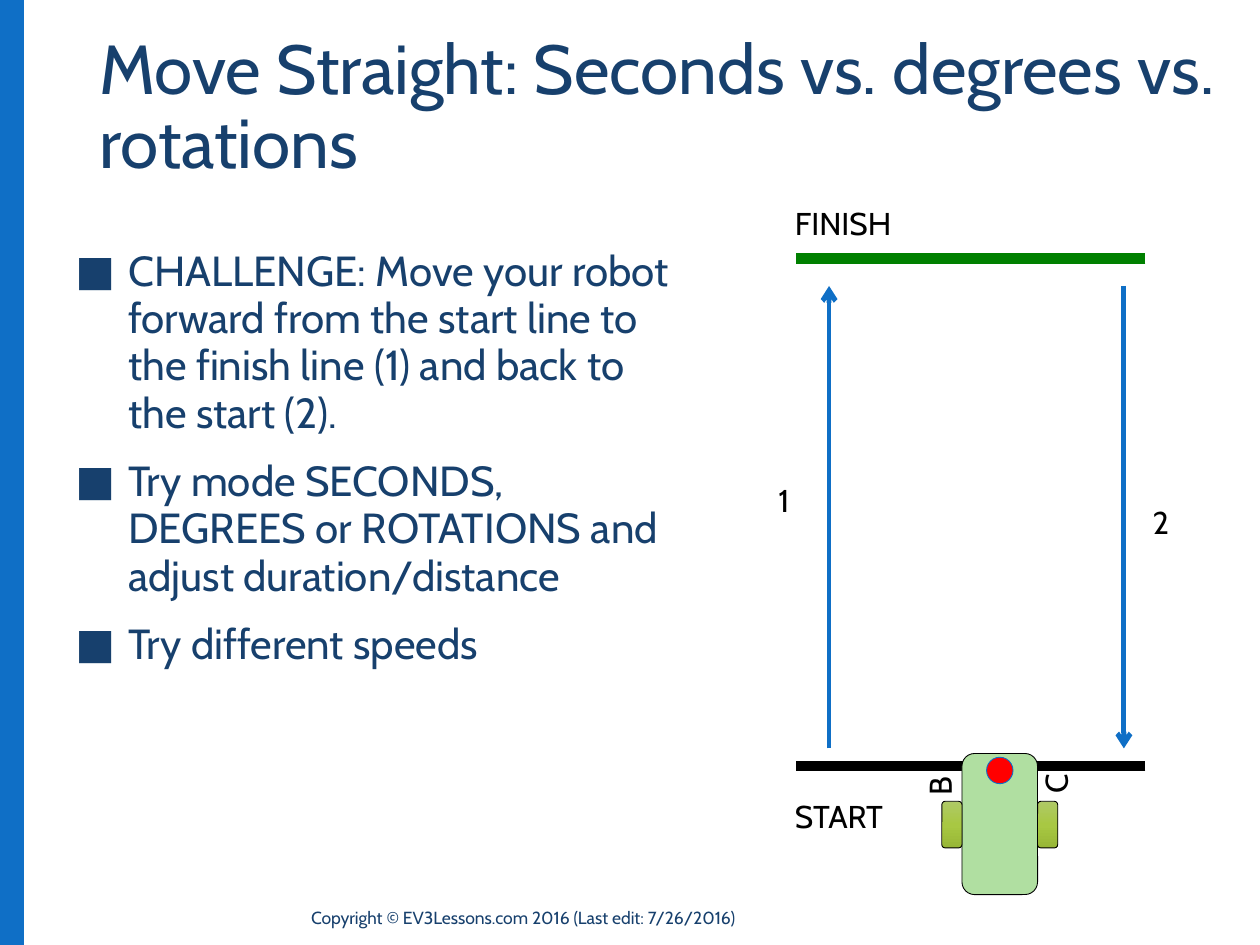
"""Build the slide that sets the move-straight robot challenge."""
from copy import deepcopy

from lxml.etree import SubElement
from pptx import Presentation
from pptx.dml.color import RGBColor
from pptx.enum.shapes import MSO_CONNECTOR, MSO_SHAPE
from pptx.enum.text import MSO_ANCHOR, MSO_AUTO_SIZE
from pptx.oxml.ns import qn
from pptx.util import Inches, Pt

THEME = {
    "font": "Cabin", "text": "17406D", "accent": "0F6FC6", "ink": "000000",
    "finish": "008000", "body": "B0DFA1", "sensor": "FF0000",
    "wheel": ("AFC966", "A8C843", "98B736"),
    "title_pt": 39.6, "bullet_pt": 24, "label_pt": 18, "footer_pt": 10,
    "track_pt": 6, "arrow_pt": 2.75, "outline_pt": 0.5,
}
COLS, ROWS = 100, 75
TITLE = "Move Straight: Seconds vs. degrees vs. rotations"
BULLETS = [
    "CHALLENGE: Move your robot forward from the start line to the finish line (1) "
    "and back to the start (2).",
    "Try mode SECONDS, DEGREES or ROTATIONS and adjust duration/distance",
    "Try different speeds",
]
FOOTER = "Copyright © EV3Lessons.com 2016 (Last edit: 7/26/2016)"

TRACK = {"left": 63.2, "right": 90.9, "finish": 20.5, "start": 60.8}
LANES = {"up": 65.8, "down": 89.2, "top": 22.7, "bottom": 59.4}
LABELS = [
    ("1", (60.8, 37.7, 3.4, 4), True, 0),
    ("2", (90.5, 39.4, 3.4, 4), True, 0),
    ("FINISH", (62.1, 15.7, 10.3, 4), False, 0),
    ("START", (62.1, 62.8, 10, 4), False, 0),
    ("B", (71.8, 60.4, 4.5, 3), True, 270),
    ("C", (81, 60.2, 4.5, 3), True, 270),
]
ROBOT = {"center": 79.35, "top": 59.8, "width": 6, "height": 11.2}
WHEEL = {"top": 63.6, "width": 1.6, "height": 3.7}
SENSOR = {"top": 60.1, "size": 2.1}

prs = Presentation()
prs.slide_width, prs.slide_height = Inches(10), Inches(7.5)
s = prs.slides.add_slide(prs.slide_layouts[6])


def grid(*values):
    """Turn alternating columns and rows into slide lengths."""
    units = (prs.slide_width / COLS, prs.slide_height / ROWS)
    return [round(v * units[i % 2]) for i, v in enumerate(values)]


def add_text(text, box, size, color="text", wrap=True, rotation=0, bullet=None,
             line=None, before=0, after=0, anchor=MSO_ANCHOR.TOP, grow=False):
    """Add a text box with one paragraph per string."""
    sp = s.shapes.add_textbox(*grid(*box))
    sp.rotation = rotation
    tf = sp.text_frame
    tf.word_wrap, tf.vertical_anchor = wrap, anchor
    tf.auto_size = MSO_AUTO_SIZE.SHAPE_TO_FIT_TEXT if grow else MSO_AUTO_SIZE.NONE
    for i, words in enumerate([text] if isinstance(text, str) else text):
        p = tf.paragraphs[0] if i == 0 else tf.add_paragraph()
        if bullet:
            pPr = p._p.get_or_add_pPr()
            indent = Inches(0.42)
            pPr.set("marL", str(indent))
            pPr.set("indent", str(-indent))
            SubElement(pPr, qn("a:buFont")).set("typeface", THEME["font"])
            SubElement(pPr, qn("a:buChar")).set("char", bullet)
        if line:
            p.line_spacing = line
        p.space_before, p.space_after = Pt(before if i else 0), Pt(after)
        r = p.add_run()
        r.text = words
        r.font.name, r.font.size = THEME["font"], Pt(THEME[size])
        r.font.color.rgb = RGBColor.from_string(THEME[color])


def add_block(kind, box, fill, outline=None):
    """Add a preset shape with a solid fill or a vertical gradient."""
    sp = s.shapes.add_shape(kind, *grid(*box))
    sp.shadow.inherit = False
    colors = THEME[fill]
    if isinstance(colors, str):
        sp.fill.solid()
        sp.fill.fore_color.rgb = RGBColor.from_string(colors)
    else:
        sp.fill.gradient()
        sp.fill.gradient_angle = 270
        stops = sp._element.spPr.find(".//" + qn("a:gsLst"))
        stops.append(deepcopy(stops[0]))
        for i, (stop, color) in enumerate(zip(sp.fill.gradient_stops, colors)):
            stop.position = i / (len(colors) - 1)
            stop.color.rgb = RGBColor.from_string(color)
    if outline:
        sp.line.color.rgb = RGBColor.from_string(THEME[outline])
        sp.line.width = Pt(THEME["outline_pt"])
    else:
        sp.line.fill.background()


def add_line(ends, color, width, arrow=False):
    """Add a straight line, with an arrowhead at its end if asked."""
    cx = s.shapes.add_connector(MSO_CONNECTOR.STRAIGHT, *grid(*ends))
    cx.line.color.rgb = RGBColor.from_string(THEME[color])
    cx.line.width = Pt(THEME[width])
    if arrow:
        SubElement(cx.line._get_or_add_ln(), qn("a:tailEnd")).set("type", "arrow")
    SubElement(cx._element.spPr, qn("a:effectLst"))


add_block(MSO_SHAPE.RECTANGLE, (0, 0, 1.9, ROWS), "accent")
add_text(TITLE, (6.9, 2.3, 90.5, 10.8), "title_pt", line=0.89)
add_text(BULLETS, (5, 19.2, 49.8, 47.8), "bullet_pt", bullet="■",
         line=0.94, before=10, after=2)
add_text(FOOTER, (23.7, 70.6, 51.5, 4.4), "footer_pt", anchor=MSO_ANCHOR.MIDDLE)

for name, color in (("finish", "finish"), ("start", "ink")):
    add_line((TRACK["right"], TRACK[name], TRACK["left"], TRACK[name]), color, "track_pt")
for lane, begin, end in (("up", "bottom", "top"), ("down", "top", "bottom")):
    add_line((LANES[lane], LANES[begin], LANES[lane], LANES[end]),
             "accent", "arrow_pt", arrow=True)

left = ROBOT["center"] - ROBOT["width"] / 2
add_block(MSO_SHAPE.ROUNDED_RECTANGLE,
          (left, ROBOT["top"], ROBOT["width"], ROBOT["height"]), "body", "ink")
for x in (left - WHEEL["width"], left + ROBOT["width"]):
    add_block(MSO_SHAPE.ROUNDED_RECTANGLE,
              (x, WHEEL["top"], WHEEL["width"], WHEEL["height"]), "wheel", "ink")
add_block(MSO_SHAPE.OVAL,
          (ROBOT["center"] - SENSOR["size"] / 2, SENSOR["top"],
           SENSOR["size"], SENSOR["size"]), "sensor", "accent")
for words, box, wrap, rotation in LABELS:
    add_text(words, box, "label_pt", "ink", wrap=wrap, rotation=rotation, grow=True)

prs.save("out.pptx")
